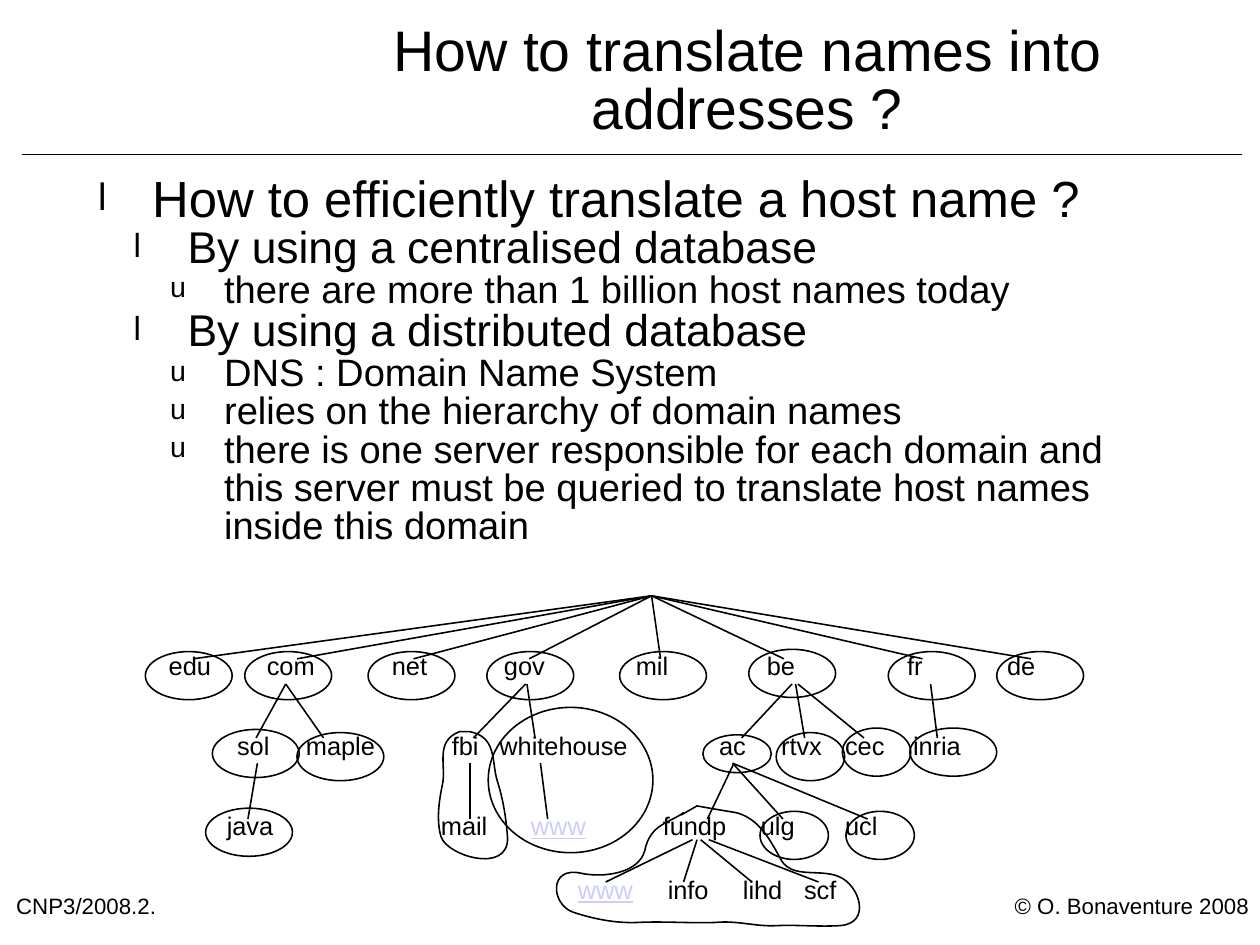
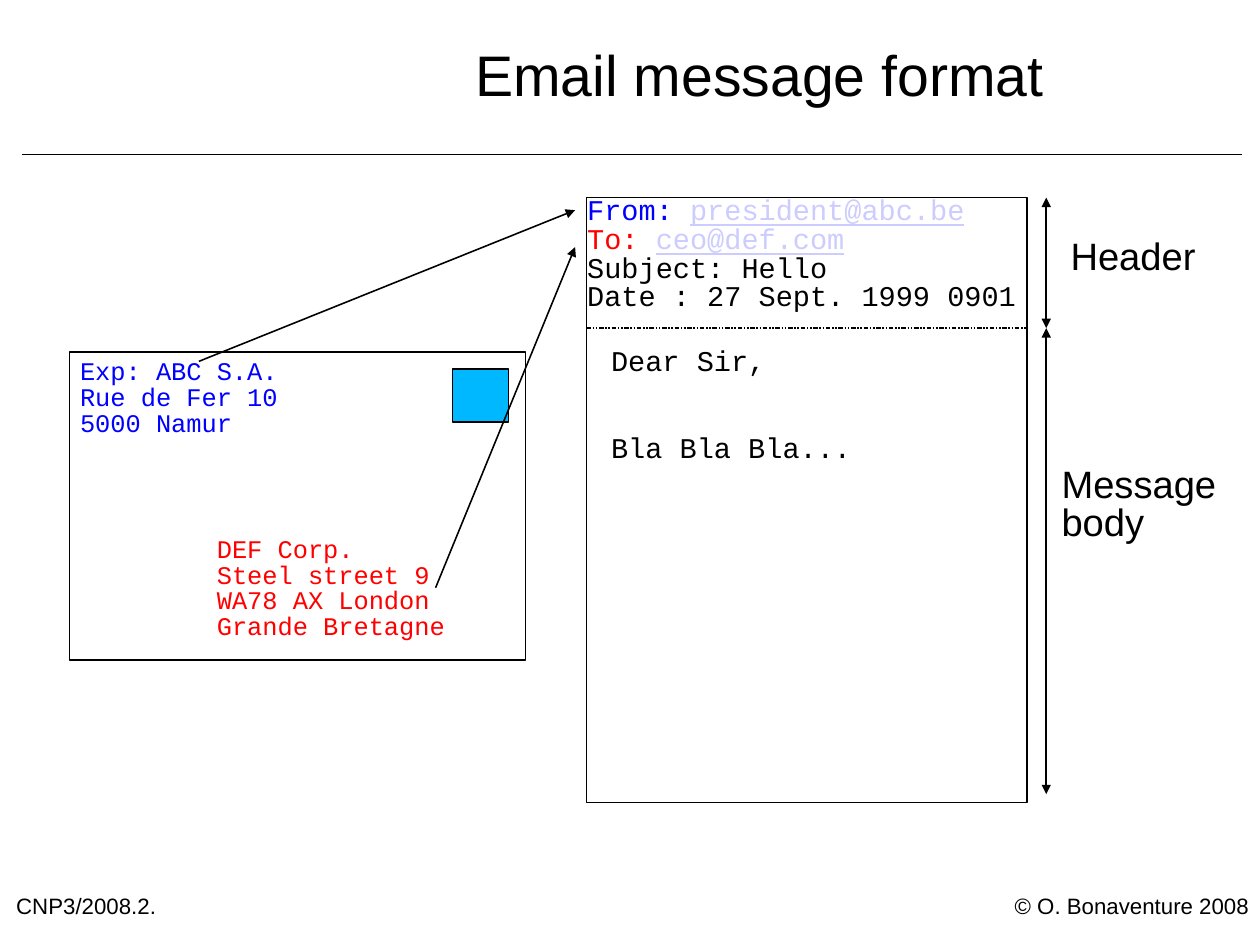
from lxml import etree
from pptx import Presentation
from pptx.dml.color import RGBColor
from pptx.enum.shapes import MSO_CONNECTOR, MSO_SHAPE
from pptx.enum.text import MSO_ANCHOR, MSO_AUTO_SIZE, PP_ALIGN
from pptx.oxml.ns import qn
from pptx.util import Cm, Pt

LEFT, CENTER, RIGHT = PP_ALIGN.LEFT, PP_ALIGN.CENTER, PP_ALIGN.RIGHT
TOP, MIDDLE = MSO_ANCHOR.TOP, MSO_ANCHOR.MIDDLE
OVAL, RECT = MSO_SHAPE.OVAL, MSO_SHAPE.RECTANGLE
STRAIGHT = MSO_CONNECTOR.STRAIGHT
NO_FIT = MSO_AUTO_SIZE.NONE

BLACK, BLUE, RED, SKY, LINK = "000000", "0000FF", "FF0000", "00B8FF", "CCCCFF"
SANS, MONO = "Arial", "Courier New"
SPACING = 0.84

# Level, text
POINTS = [
    (0, "How to efficiently translate a host name ?"),
    (1, "By using a centralised database"),
    (2, "there are more than 1 billion host names today"),
    (1, "By using a distributed database"),
    (2, "DNS : Domain Name System"),
    (2, "relies on the hierarchy of domain names"),
    (2, "there is one server responsible for each domain and this server "
        "must be queried to translate host names inside this domain"),
]
# Size, bullet and left margin (cm) of each level
LEVELS = [(32, "l", 1.4), (28, "l", 2.19), (24, "u", 3.0)]
HANG = 1.2

# Each row: text top, height where links start, height where they end, and
# nodes: name, text left, link start, link end, oval (left, top, width, height)
WIDE, SLIM = (1.93, 1.07), (1.52, 1.07)
ROOT = 14.48
TREE = [
    (14.55, 13.24, 14.64, [
        ("edu", 3.75, ROOT, 4.29, (3.23, 14.48, *WIDE)),
        ("com", 5.93, ROOT, 6.6, (5.44, 14.48, *WIDE)),
        ("net", 8.71, ROOT, 9.19, (8.18, 14.48, *WIDE)),
        ("gov", 11.2, ROOT, 11.76, (10.82, 14.48, *WIDE)),
        ("mil", 14.13, ROOT, 14.68, (13.77, 14.48, *WIDE)),
        ("be", 17.04, ROOT, 17.42, (16.64, 14.43, *WIDE)),
        ("fr", 20.16, ROOT, 20.5, (19.74, 14.48, *WIDE)),
        ("de", 22.38, ROOT, 22.91, (22.15, 14.48, *WIDE)),
    ]),
    (16.33, 15.2, 16.4, [
        ("sol", 5.27, 6.35, 5.69, (4.72, 16.21, *WIDE)),
        ("maple", 6.8, 6.35, 7.19, (6.6, 16.28, *WIDE)),
        ("fbi", 10.04, 11.68, 10.52, None),
        ("whitehouse", 11.1, 11.71, 11.89, (10.85, 15.72, 3.66, 3.23)),
        ("ac", 15.98, 17.6, 16.48, (15.62, 16.33, 1.52, 0.84)),
        ("rtvx", 17.36, 17.68, 17.88, (17.25, 16.28, *SLIM)),
        ("cec", 18.78, 17.73, 19.2, (18.72, 16.18, *SLIM)),
        ("inria", 20.29, 20.68, 20.83, (20.22, 16.18, *WIDE)),
    ]),
    (18.11, 16.96, 18.2, [
        ("java", 5.04, 5.72, 5.51, (4.57, 17.96, *WIDE)),
        ("mail", 9.8, 10.44, 10.44, None),
        ("www", 11.8, 12.01, 12.17, None),
        ("fundp", 14.73, 16.31, 15.72, None),
        ("ulg", 16.91, 16.28, 17.4, (16.89, 18.03, *SLIM)),
        ("ucl", 18.78, 16.28, 19.28, (18.8, 18.03, *SLIM)),
    ]),
    (19.53, 18.66, 19.6, [
        ("www", 12.84, 15.39, 13.46, None),
        ("info", 14.84, 15.49, 15.19, None),
        ("lihd", 16.51, 15.57, 16.71, None),
        ("scf", 17.87, 15.75, 18.19, None),
    ]),
]
# Outlines of two domains: a start, then curves (two controls, end) or points
ZONES = [
    [(15.19, 18.06),
     (14.88, 18.29, 14.45, 18.31, 14.33, 18.9),
     (14.2, 19.41, 13.41, 19.51, 12.93, 19.41),
     (12.19, 19.23, 12.24, 20.09, 12.73, 20.27),
     (13.18, 20.42, 13.67, 20.52, 14.17, 20.5),
     (14.73, 20.47, 15.32, 20.52, 15.9, 20.5),
     (16.38, 20.45, 16.81, 20.6, 17.27, 20.57),
     (17.73, 20.55, 18.21, 20.6, 18.67, 20.57),
     (19.38, 20.52, 19.1, 19.66, 18.64, 19.48),
     (18.21, 19.3, 17.63, 19.53, 17.37, 19.13),
     (17.12, 18.67, 16.87, 18.19, 16.36, 18.06),
     (15.88, 17.98), (15.49, 17.91), (15.14, 18.11), (15.19, 18.06)],
    [(10.21, 16.26),
     (9.65, 16.48, 9.93, 17.02, 9.83, 17.45),
     (9.75, 17.83, 9.7, 18.24, 9.8, 18.59),
     (9.93, 19.02, 11.3, 19.43, 11.28, 18.62),
     (11.25, 18.19, 11.18, 17.75, 11.05, 17.35),
     (10.92, 16.92, 11.05, 16.38, 10.44, 16.26), (10.21, 16.26)],
]

SENDER = ["Exp: ABC S.A.", "Rue de Fer 10", "5000 Namur"]
TARGET = ["DEF Corp.", "Steel street 9", "WA78 AX London", "Grande Bretagne"]
HEADER = [
    [("From: ", BLUE), ("president@abc.be", LINK)],
    [("To: ", RED), ("ceo@def.com", LINK)],
    "Subject: Hello",
    "Date : 27 Sept. 1999 0901",
]
LETTER = ["Dear Sir,", "Bla Bla Bla..."]
# Left, top, width, height of the message; height of its dividing line
MAIL = (13.03, 4.39, 9.8, 13.45)
SPLIT = 7.29
SPAN = 23.25


def rgb(code):
    return RGBColor.from_string(code)


def write(frame, paras, size=16, font=SANS, color=BLACK, align=LEFT,
          anchor=TOP, gap=0):
    """Fill a frame; a paragraph is a string or a list of (text, colour)."""
    frame.auto_size = NO_FIT
    frame.word_wrap = True
    frame.vertical_anchor = anchor
    frame.margin_left = frame.margin_right = 0
    frame.margin_top = frame.margin_bottom = 0
    for i, runs in enumerate(paras):
        para = frame.add_paragraph() if i else frame.paragraphs[0]
        para.alignment = align
        para.line_spacing = SPACING
        para.space_before = Pt(gap if i else 0)
        for words, tint in [(runs, color)] if isinstance(runs, str) else runs:
            run = para.add_run()
            run.text = words
            run.font.size = Pt(size)
            run.font.name = font
            run.font.color.rgb = rgb(tint)
            if tint == LINK:
                run.font.underline = True


def place(shape, *box):
    shape.left, shape.top, shape.width, shape.height = map(Cm, box)


def label(slide, box, *paras, **style):
    shape = slide.shapes.add_textbox(*map(Cm, box))
    write(shape.text_frame, paras, **style)
    return shape


def trim(shape, fill=None):
    """Give an outline a thin black line and an optional fill."""
    shape.shadow.inherit = False
    shape.line.color.rgb = rgb(BLACK)
    shape.line.width = Pt(1)
    if fill:
        shape.fill.solid()
        shape.fill.fore_color.rgb = rgb(fill)
    else:
        shape.fill.background()


def draw(slide, kind, box, fill=None):
    trim(slide.shapes.add_shape(kind, *map(Cm, box)), fill)


def link(slide, x1, y1, x2, y2, heads=(), dash=None):
    """Draw a line; heads lists headEnd and tailEnd where arrows belong."""
    line = slide.shapes.add_connector(STRAIGHT, *map(Cm, (x1, y1, x2, y2)))
    line.line.color.rgb = rgb(BLACK)
    line.line.width = Pt(1)
    props = line.element.spPr
    stroke = props.find(qn("a:ln"))
    if dash:
        etree.SubElement(stroke, qn("a:prstDash"), val=dash)
    for end in heads:
        etree.SubElement(stroke, qn("a:" + end), type="triangle")
    etree.SubElement(props, qn("a:effectLst"))
    return line


def zone(slide, start, *parts):
    """Draw a closed outline, turning each three points of a part to a curve."""
    dots = [(Cm(x), Cm(y)) for part in (start, *parts)
            for x, y in zip(part[::2], part[1::2])]
    form = slide.shapes.build_freeform(*dots[0])
    form.add_line_segments(dots[1:], close=True)
    shape = form.convert_to_shape()
    trim(shape)
    lines = iter(shape.element.xpath(".//a:lnTo"))
    for part in parts:
        first = next(lines)
        if len(part) == 6:
            first.tag = qn("a:cubicBezTo")
            for _ in range(2):
                extra = next(lines)
                first.append(extra[0])
                extra.getparent().remove(extra)


def row(slide, top, nodes):
    """Write the names of one tree row, each at its own tab stop."""
    left = nodes[0][1]
    runs = []
    for name, *_ in nodes:
        if runs:
            runs.append(("\t", BLACK))
        runs.append((name, LINK if name == "www" else BLACK))
    shape = label(slide, (left, top, 24.5 - left, 0.56), runs)
    props = shape.text_frame.paragraphs[0]._p.get_or_add_pPr()
    stops = etree.SubElement(props, qn("a:tabLst"))
    for _, x, *_ in nodes[1:]:
        etree.SubElement(stops, qn("a:tab"), pos=str(Cm(x - left)), algn="l")


def bullet(para, level):
    size, mark, left = LEVELS[level]
    para.level = level
    para.runs[0].font.size = Pt(size)
    props = para._p.get_or_add_pPr()
    props.set("marL", str(Cm(left)))
    props.set("indent", str(-Cm(HANG)))
    tint = etree.SubElement(props, qn("a:buClr"))
    etree.SubElement(tint, qn("a:srgbClr"), val=BLACK)
    etree.SubElement(props, qn("a:buSzPct"), val="75000")
    etree.SubElement(props, qn("a:buFont"), typeface=SANS)
    etree.SubElement(props, qn("a:buChar"), char=mark)


def add_slide(deck, layout, title, box):
    slide = deck.slides.add_slide(deck.slide_layouts[layout])
    place(slide.shapes.title, *box)
    write(slide.shapes.title.text_frame, [title], size=36, align=CENTER,
          anchor=MIDDLE)
    return slide


def brand(deck, slide):
    """Put the rule and both footers on the master."""
    parts = [
        link(slide, 0.48, 3.43, 27.61, 3.43),
        label(slide, (0.36, 19.93, 4.27, 0.6), "CNP3/2008.2.", size=14),
        label(slide, (20, 19.93, 7.76, 0.6), "© O. Bonaventure 2008",
              size=14, align=RIGHT),
    ]
    for number, part in enumerate(parts, 101):
        part.element.xpath(".//p:cNvPr")[0].set("id", str(number))
        deck.slide_master.shapes.element.append(part.element)


def names(deck):
    slide = add_slide(deck, 1, "How to translate names into addresses ?",
                      (6.99, 0, 19.23, 3.71))
    brand(deck, slide)
    body = slide.placeholders[1]
    place(body, 1.98, 3.92, 23.9, 17.06)
    write(body.text_frame, [words for _, words in POINTS])
    for para, (level, _) in zip(body.text_frame.paragraphs, POINTS):
        bullet(para, level)
    for top, foot, tip, nodes in TREE:
        row(slide, top, nodes)
        for _, _, start, end, oval in nodes:
            link(slide, start, foot, end, tip)
            if oval:
                draw(slide, OVAL, oval)
    for outline in ZONES:
        zone(slide, *outline)


def email(deck):
    slide = add_slide(deck, 5, "Email message format", (7.06, 0, 19.63, 3.5))
    left, top, width, _ = MAIL
    draw(slide, RECT, (1.55, 7.82, 10.13, 6.85))
    draw(slide, RECT, (10.06, 8.2, 1.24, 1.18), SKY)
    label(slide, (1.78, 8.01, 6, 1.7), *SENDER, font=MONO, color=BLUE)
    label(slide, (4.82, 11.96, 6, 2.29), *TARGET, font=MONO, color=RED)
    draw(slide, RECT, MAIL)
    link(slide, left, SPLIT, left + width, SPLIT, dash="sysDashDotDot")
    label(slide, (left + 0.02, top, 9.9, 2.57), *HEADER, size=18, font=MONO)
    label(slide, (13.58, 7.75, 8, 2.57), *LETTER, size=18, font=MONO, gap=36.5)
    link(slide, 4.42, 8.03, 12.78, 4.67, ["tailEnd"])
    link(slide, 9.68, 13.06, 12.78, 5.49, ["tailEnd"])
    for start, end in [(top, SPLIT), (SPLIT, 17.65)]:
        link(slide, SPAN, start, SPAN, end, ["headEnd", "tailEnd"])
    label(slide, (23.79, 5.33, 3.8, 0.86), "Header", size=24)
    label(slide, (23.59, 10.39, 4.4, 1.9), "Message body", size=24)


def main():
    deck = Presentation()
    deck.slide_width, deck.slide_height = Cm(28), Cm(21)
    names(deck)
    email(deck)
    deck.save("out.pptx")


if __name__ == "__main__":
    main()
